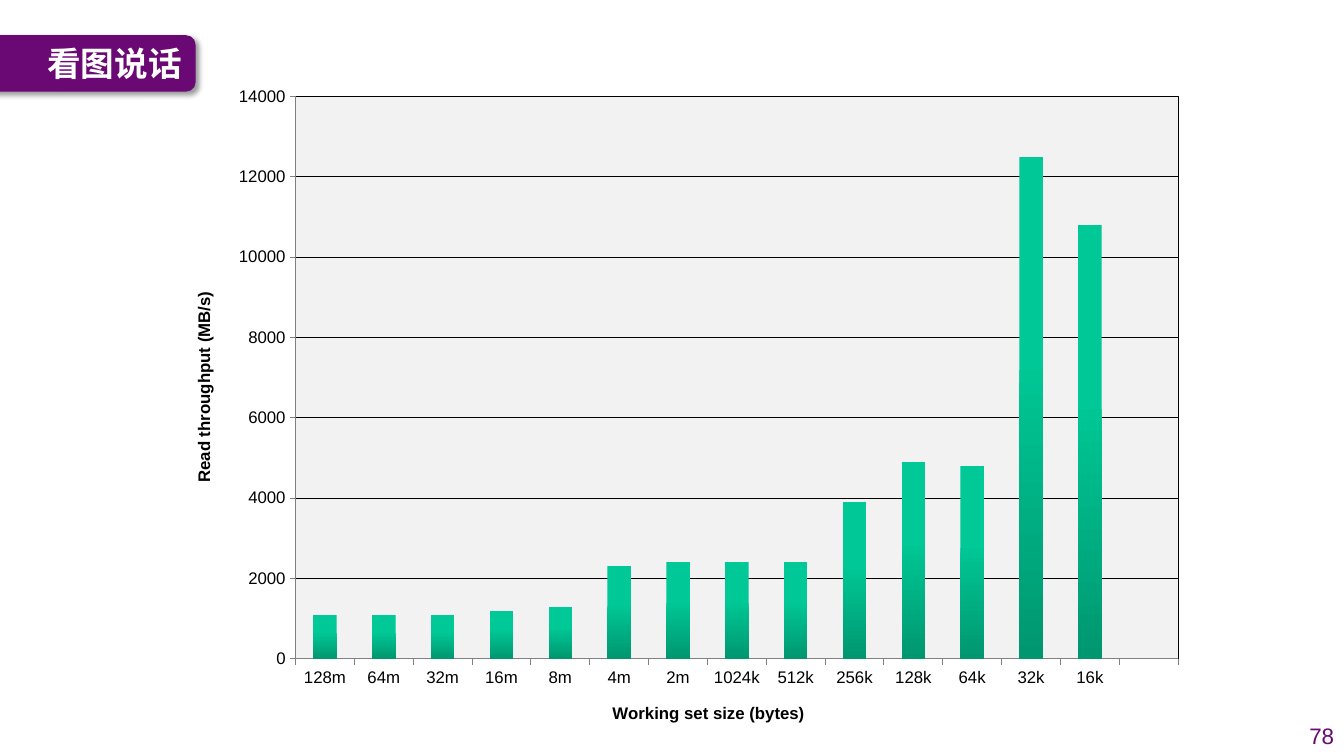
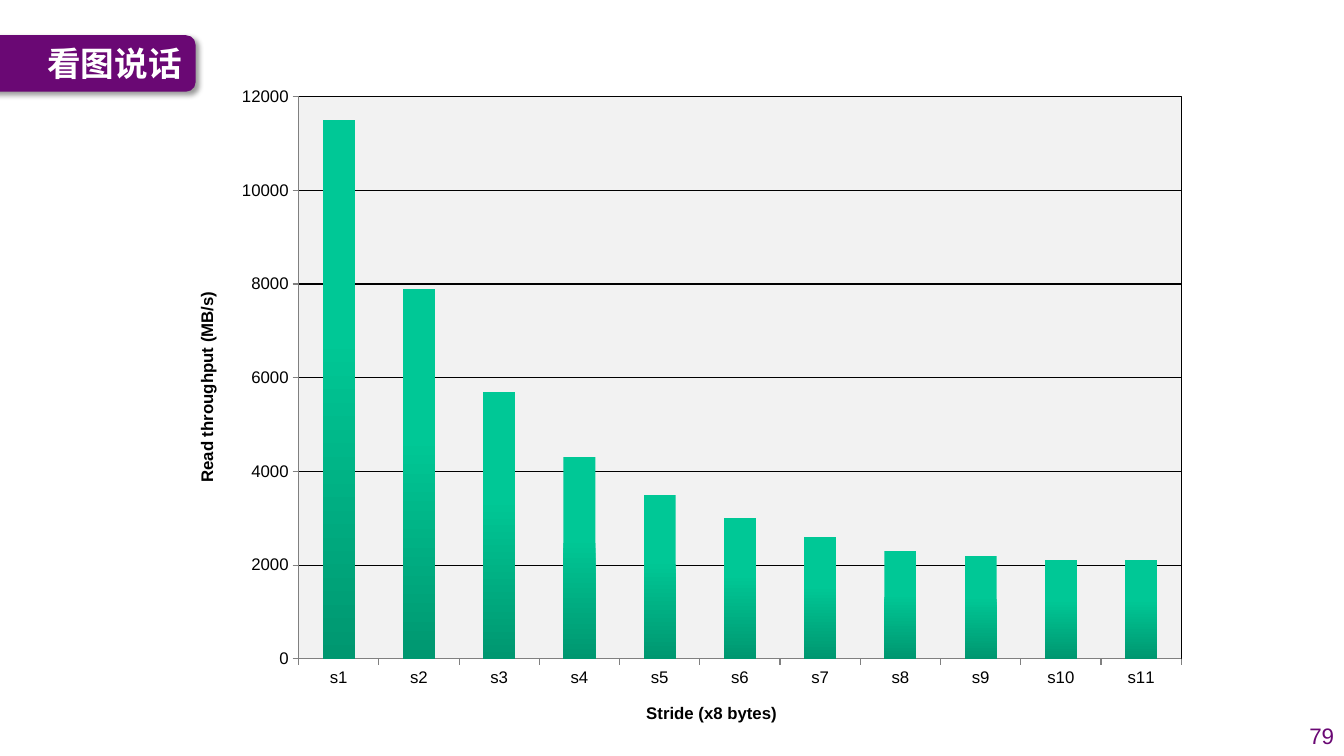
from lxml import etree
from pptx import Presentation
from pptx.chart.data import CategoryChartData
from pptx.dml.color import RGBColor
from pptx.enum.chart import XL_CHART_TYPE as ChartType, XL_TICK_MARK as TickMark
from pptx.enum.shapes import MSO_SHAPE as Shape
from pptx.enum.text import MSO_ANCHOR as Anchor, PP_ALIGN as Align
from pptx.oxml import parse_xml
from pptx.oxml.ns import nsdecls, qn
from pptx.util import Inches, Pt

COLORS = {
    "purple": "6A0874", "white": "FFFFFF", "black": "000000", "axis": "808080",
    "plot": "F2F2F2", "bar_top": "00C896", "bar_bottom": "009770",
}
RGB = {name: RGBColor.from_string(value) for name, value in COLORS.items()}
PLOT_LAYOUT = {"x": 0.12, "y": 0.03, "w": 0.86, "h": 0.84}

CHARTS = [
    {
        "page": "78", "left": 1.71, "max": 14000, "x_title": "Working set size (bytes)",
        "categories": ["128m", "64m", "32m", "16m", "8m", "4m", "2m", "1024k",
                       "512k", "256k", "128k", "64k", "32k", "16k", ""],
        "values": [1100, 1100, 1100, 1200, 1300, 2300, 2400, 2400, 2400,
                   3900, 4900, 4800, 12500, 10800, None],
    },
    {
        "page": "79", "left": 1.74, "max": 12000, "x_title": "Stride (x8 bytes)",
        "categories": [f"s{stride}" for stride in range(1, 12)],
        "values": [11500, 7900, 5700, 4300, 3500, 3000, 2600, 2300, 2200, 2100, 2100],
    },
]


def set_font(font, size, color, name="Arial", bold=False):
    formats = {"size": Pt(size), "name": name, "bold": bold}
    for attribute, value in formats.items():
        setattr(font, attribute, value)
    font.color.rgb = RGB[color]


def add_text(slide, text, box, size, color, name, bold, align):
    textbox = slide.shapes.add_textbox(*(Inches(length) for length in box))
    frame = textbox.text_frame
    frame.word_wrap = True
    frame.vertical_anchor = Anchor.MIDDLE
    paragraph = frame.paragraphs[0]
    paragraph.alignment = align
    run = paragraph.add_run()
    run.text = text
    set_font(run.font, size, color, name, bold)
    etree.SubElement(run.font._element, qn("a:ea"), typeface=name)


prs = Presentation()
prs.slide_width, prs.slide_height = Inches(13.33), Inches(7.5)

for content in CHARTS:
    slide = prs.slides.add_slide(prs.slide_layouts[6])

    title_tab = slide.shapes.add_shape(
        Shape.ROUNDED_RECTANGLE, Inches(-0.2), Inches(0.35), Inches(2.14), Inches(0.56))
    title_tab.fill.solid()
    title_tab.fill.fore_color.rgb = RGB["purple"]
    title_tab.line.fill.background()
    title_tab._element.spPr.append(parse_xml(
        f'<a:effectLst {nsdecls("a")}><a:outerShdw blurRad="{Pt(4)}" dist="{Pt(3)}" '
        f'dir="2700000" algn="tl" rotWithShape="0"><a:srgbClr val="{COLORS["black"]}">'
        '<a:alpha val="40000"/></a:srgbClr></a:outerShdw></a:effectLst>'))

    add_text(slide, "看图说话", (0.37, 0.35, 1.6, 0.55), 24, "white",
             "Noto Sans CJK SC", True, Align.LEFT)
    add_text(slide, content["page"], (12.78, 7.1, 0.55, 0.4), 16, "purple",
             "Arial", False, Align.RIGHT)

    data = CategoryChartData()
    data.categories = content["categories"]
    data.add_series("Series 1", content["values"])
    chart = slide.shapes.add_chart(
        ChartType.COLUMN_CLUSTERED, Inches(content["left"]), Inches(0.76),
        Inches(10.18), Inches(6.64), data).chart
    chart.has_title = False
    chart.has_legend = False
    set_font(chart.font, 10, "black")

    bars = chart.plots[0]
    bars.gap_width = 150
    bars.vary_by_categories = False
    throughput = bars.series[0]
    throughput.invert_if_negative = False
    bar_fill = throughput.format.fill
    bar_fill.gradient()
    bar_fill.gradient_angle = 270
    for stop, color, position in zip(
            bar_fill.gradient_stops, ("bar_top", "bar_bottom"), (0.4, 1)):
        stop.color.rgb = RGB[color]
        stop.position = position

    axes = ((chart.category_axis, content["x_title"]),
            (chart.value_axis, "Read throughput (MB/s)"))
    for axis, axis_title in axes:
        axis.major_tick_mark = TickMark.OUTSIDE
        axis.minor_tick_mark = TickMark.NONE
        axis.format.line.color.rgb = RGB["axis"]
        axis.format.line.width = Pt(0.75)
        set_font(axis.tick_labels.font, 12, "black")
        title_frame = axis.axis_title.text_frame
        title_frame.text = axis_title
        set_font(title_frame.paragraphs[0].runs[0].font, 12, "black", bold=True)

    scale = {"minimum_scale": 0, "maximum_scale": content["max"],
             "major_unit": 2000, "has_major_gridlines": True}
    for attribute, value in scale.items():
        setattr(chart.value_axis, attribute, value)
    gridline = chart.value_axis.major_gridlines.format.line
    gridline.color.rgb = RGB["black"]
    gridline.width = Pt(0.75)

    plot_area = chart._chartSpace.chart.plotArea
    for layout in plot_area.findall(qn("c:layout")):
        plot_area.remove(layout)
    lengths = "".join(f'<c:{key} val="{value}"/>' for key, value in PLOT_LAYOUT.items())
    plot_area.insert(0, parse_xml(
        f'<c:layout {nsdecls("c")}><c:manualLayout><c:layoutTarget val="inner"/>'
        f'<c:xMode val="edge"/><c:yMode val="edge"/>{lengths}</c:manualLayout></c:layout>'))
    plot_area.append(parse_xml(
        f'<c:spPr {nsdecls("c", "a")}><a:solidFill><a:srgbClr val="{COLORS["plot"]}"/>'
        f'</a:solidFill><a:ln w="{Pt(0.75)}"><a:solidFill>'
        f'<a:srgbClr val="{COLORS["black"]}"/></a:solidFill></a:ln></c:spPr>'))

prs.save("out.pptx")
